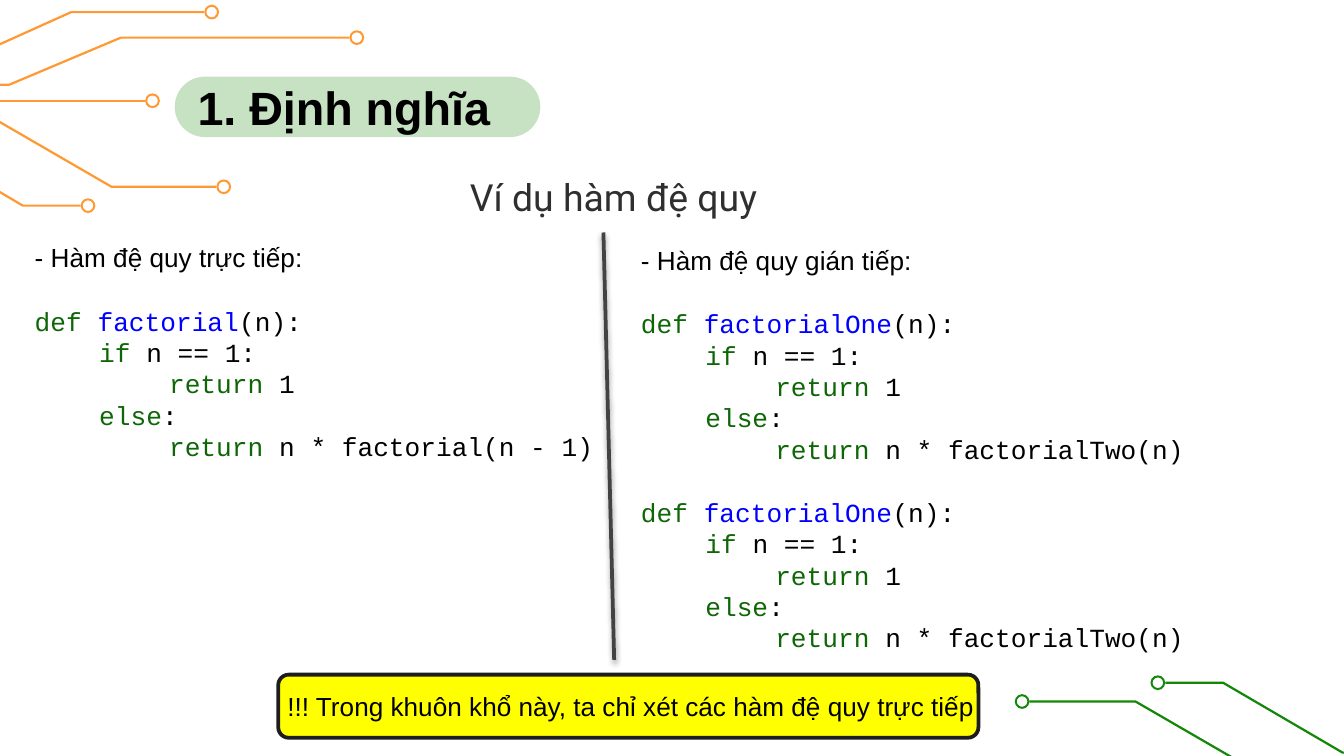
from dataclasses import dataclass

from lxml import etree
from pptx import Presentation
from pptx.dml.color import RGBColor
from pptx.enum import shapes, text
from pptx.oxml import ns
from pptx.util import Inches, Pt

BLACK = RGBColor(0x00, 0x00, 0x00)
CHARCOAL = RGBColor(0x30, 0x2F, 0x2F)
DIVIDER = RGBColor(0x43, 0x43, 0x43)
NOTE_BORDER = RGBColor(0x1D, 0x1D, 0x1D)
YELLOW = RGBColor(0xFF, 0xFF, 0x00)
ORANGE = RGBColor(0xFF, 0x99, 0x33)
GREEN = RGBColor(0x13, 0x88, 0x08)
KEYWORD = RGBColor(0x0E, 0x66, 0x06)
FUNCTION = RGBColor(0x00, 0x00, 0xFF)

SLIDE_WIDTH = 10
SLIDE_HEIGHT = SLIDE_WIDTH * 9 / 16
RING_SIZE = 0.11
LINE_HEIGHT = Pt(16.8)
BODY_INDENT, RETURN_INDENT = 0.48, 1.0


@dataclass
class Trace:
    """A circuit line whose first point touches a ring; side is the ring's direction."""
    points: list[tuple[float, float]]
    color: RGBColor
    side: int


@dataclass
class CodeLine:
    tokens: list[tuple[str, RGBColor]]
    indent: float = 0
    space_before: float = 0


TRACES = [
    Trace([(7.66, 5.22), (8.45, 5.22), (9.33, 5.73), (11.01, 5.73)], GREEN, -1),
    Trace([(8.67, 5.08), (9.1, 5.08), (9.99, 5.6), (11.56, 5.6)], GREEN, -1),
    Trace([(1.61, 1.39), (0.83, 1.39), (-0.05, 0.88), (-1.73, 0.88)], ORANGE, 1),
    Trace([(0.6, 1.53), (0.17, 1.53), (-0.71, 1.01), (-2.28, 1.01)], ORANGE, 1),
    Trace([(1.08, 0.75), (-1.58, 0.75)], ORANGE, 1),
    Trace([(2.6, 0.28), (0.9, 0.28), (0.07, 0.63), (-1.32, 0.63)], ORANGE, 1),
    Trace([(1.52, 0.09), (0.53, 0.09), (-0.38, 0.5), (-1.69, 0.5)], ORANGE, 1),
]


def factorial_lines(name: str, called: str) -> list[CodeLine]:
    return [
        CodeLine([("def ", KEYWORD), (name, FUNCTION), ("(n):", BLACK)], space_before=17),
        CodeLine([("if", KEYWORD), (" n == 1:", BLACK)], BODY_INDENT),
        CodeLine([("return", KEYWORD), (" 1", BLACK)], RETURN_INDENT),
        CodeLine([("else", KEYWORD), (":", BLACK)], BODY_INDENT),
        CodeLine([("return", KEYWORD), (f" n * {called}", BLACK)], RETURN_INDENT),
    ]


def format_font(font, name: str, size: float, color: RGBColor, bold: bool = False) -> None:
    font.name, font.size, font.bold = name, Pt(size), bold
    font.color.rgb = color


def add_rounded(slide, left: float, top: float, width: float, height: float, fill: RGBColor):
    shape = slide.shapes.add_shape(shapes.MSO_SHAPE.ROUNDED_RECTANGLE, Inches(left),
                                   Inches(top), Inches(width), Inches(height))
    shape.shadow.inherit = False
    shape.fill.solid()
    shape.fill.fore_color.rgb = fill
    shape.line.fill.background()
    return shape


def add_text(slide, left: float, top: float, width: float, height: float,
             wording: str, font: str = "Arial", size: float = 14, color: RGBColor = BLACK):
    box = slide.shapes.add_textbox(Inches(left), Inches(top), Inches(width), Inches(height))
    frame = box.text_frame
    frame.word_wrap = True
    frame.text = wording
    format_font(frame.paragraphs[0].runs[0].font, font, size, color)
    return frame


def add_trace(slide, trace: Trace) -> None:
    corners = [(Inches(x), Inches(y)) for x, y in trace.points]
    builder = slide.shapes.build_freeform(*corners[0])
    builder.add_line_segments(corners[1:], close=False)
    line = builder.convert_to_shape()
    line.shadow.inherit = False
    line.fill.background()
    line.line.color.rgb = trace.color
    line.line.width = Pt(1.2)

    x, y = trace.points[0]
    center = x + trace.side * RING_SIZE / 2
    ring = slide.shapes.add_shape(shapes.MSO_SHAPE.DONUT, Inches(center - RING_SIZE / 2),
                                  Inches(y - RING_SIZE / 2), Inches(RING_SIZE),
                                  Inches(RING_SIZE))
    ring.adjustments[0] = 0.14
    ring.shadow.inherit = False
    ring.fill.solid()
    ring.fill.fore_color.rgb = trace.color
    ring.line.fill.background()


def add_code(slide, left: float, top: float, height: float, heading: str,
             lines: list[CodeLine]) -> None:
    frame = add_text(slide, left, top, 7.18, height, heading)
    frame.paragraphs[0].line_spacing = LINE_HEIGHT
    for line in lines:
        paragraph = frame.add_paragraph()
        paragraph.line_spacing = LINE_HEIGHT
        paragraph.space_before = Pt(line.space_before)
        properties = paragraph._p.get_or_add_pPr()
        properties.set("marL", str(Inches(line.indent)))
        properties.set("indent", "0")
        for wording, color in line.tokens:
            run = paragraph.add_run()
            run.text = wording
            format_font(run.font, "Courier New", 14, color)


def add_divider(slide) -> None:
    line = slide.shapes.add_connector(shapes.MSO_CONNECTOR.STRAIGHT, Inches(4.49),
                                      Inches(1.73), Inches(4.57), Inches(4.91))
    line.line.color.rgb = DIVIDER
    line.line.width = Pt(2)
    effects = etree.SubElement(line._element.spPr, ns.qn("a:effectLst"))
    shadow = etree.SubElement(effects, ns.qn("a:outerShdw"), blurRad=str(Pt(3.1)),
                              dist=str(Pt(1.6)), dir="5400000", rotWithShape="0")
    color = etree.SubElement(shadow, ns.qn("a:srgbClr"), val=str(BLACK))
    etree.SubElement(color, ns.qn("a:alpha"), val="38000")


def add_title(slide) -> None:
    pill = add_rounded(slide, 1.3, 0.57, 2.72, 0.45, GREEN)
    pill.adjustments[0] = 0.5
    color = pill._element.spPr.find(ns.qn("a:solidFill")).find(ns.qn("a:srgbClr"))
    etree.SubElement(color, ns.qn("a:alpha"), val="24000")

    title = slide.shapes.title
    title.left, title.top = pill.left, pill.top
    title.width, title.height = pill.width, pill.height
    frame = title.text_frame
    frame.text = "1. Định nghĩa"
    frame.auto_size = text.MSO_AUTO_SIZE.NONE
    frame.vertical_anchor = text.MSO_ANCHOR.MIDDLE
    frame.margin_left = Inches(0.17)
    frame.margin_right = frame.margin_top = frame.margin_bottom = 0
    frame.paragraphs[0].alignment = text.PP_ALIGN.LEFT
    format_font(frame.paragraphs[0].runs[0].font, "Arial", 25, BLACK, bold=True)
    slide.shapes._spTree.append(title._element)  # in front of the pill


def main() -> None:
    presentation = Presentation()
    presentation.slide_width = Inches(SLIDE_WIDTH)
    presentation.slide_height = Inches(SLIDE_HEIGHT)
    slide = presentation.slides.add_slide(presentation.slide_layouts[5])

    note = add_rounded(slide, 2.07, 5.02, 5.21, 0.47, YELLOW)
    note.line.color.rgb = NOTE_BORDER
    note.line.width = Pt(2)

    subtitle = add_text(slide, 0.41, 1.09, 8.31, 0.64, "Ví dụ hàm đệ quy",
                        "Roboto", 20, CHARCOAL)
    subtitle.vertical_anchor = text.MSO_ANCHOR.BOTTOM
    subtitle.margin_top = subtitle.margin_bottom = Inches(0.1)
    subtitle.paragraphs[0].alignment = text.PP_ALIGN.CENTER

    for trace in TRACES:
        add_trace(slide, trace)

    add_code(slide, 0.16, 1.75, 1.75, "- Hàm đệ quy trực tiếp:",
             factorial_lines("factorial", "factorial(n - 1)"))
    add_code(slide, 4.67, 1.77, 3.4, "- Hàm đệ quy gián tiếp:",
             factorial_lines("factorialOne", "factorialTwo(n)") * 2)
    add_divider(slide)
    add_text(slide, 2.04, 5.09, 5.93, 0.34,
             "!!! Trong khuôn khổ này, ta chỉ xét các hàm đệ quy trực tiếp")
    add_title(slide)
    presentation.save("out.pptx")


if __name__ == "__main__":
    main()
